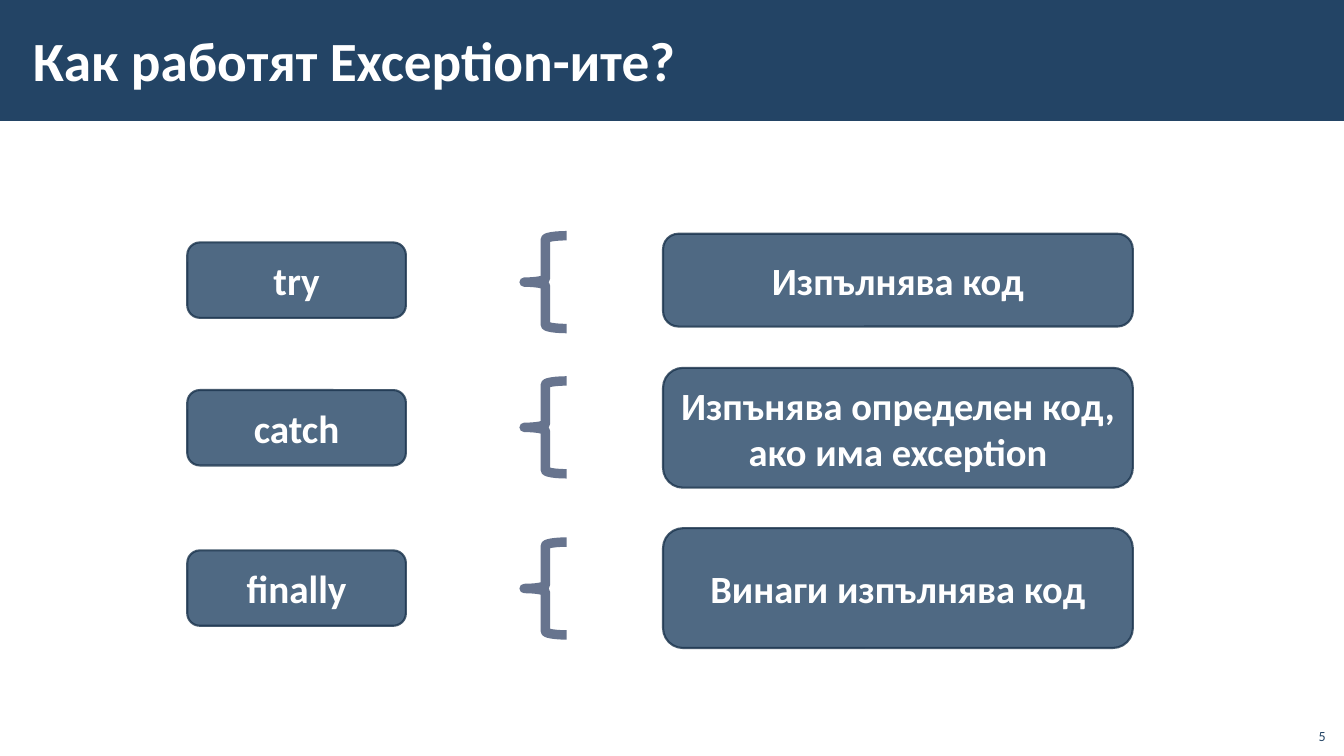
import pptx
import pptx.util
import pptx.dml.color
import pptx.enum.shapes
import pptx.enum.text
import pptx.oxml
import pptx.oxml.ns
from pptx.util import Cm

SHAPES = pptx.enum.shapes.MSO_SHAPE
ALIGN = pptx.enum.text.PP_ALIGN
ANCHOR = pptx.enum.text.MSO_ANCHOR
NAVY, EDGE, BRACE, WHITE = "234465", "1A334C", "67748E", "FFFFFF"


def paint(color_format, color, opacity=100):
    color_format.rgb = pptx.dml.color.RGBColor.from_string(color)
    if opacity < 100:
        namespace = pptx.oxml.ns.nsdecls("a")
        alpha = pptx.oxml.parse_xml(f'<a:alpha {namespace} val="{opacity * 1000}"/>')
        color_format._color._xClr.append(alpha)


def write(box, text, size, color, align, anchor, bold=True):
    frame = box.text_frame
    frame.word_wrap = True
    frame.vertical_anchor = anchor
    para = frame.paragraphs[0]
    para.alignment = align
    span = para.add_run()
    span.text = text
    font_format = {"name": "Calibri", "size": pptx.util.Pt(size), "bold": bold}
    for name, value in font_format.items():
        setattr(span.font, name, value)
    paint(span.font.color, color)


deck = pptx.Presentation()
deck.slide_width, deck.slide_height = Cm(33.87), Cm(19.05)
page = deck.slides.add_slide(deck.slide_layouts[6])

banner = page.shapes.add_shape(SHAPES.RECTANGLE, 0, 0, deck.slide_width, Cm(3.05))
banner.shadow.inherit = False
banner.fill.solid()
paint(banner.fill.fore_color, NAVY)
banner.line.fill.background()

title = page.shapes.add_textbox(Cm(0.53), Cm(0.28), Cm(27), Cm(2.46))
write(title, "Как работят Exception-ите?", 39.5, WHITE, ALIGN.LEFT, ANCHOR.MIDDLE)
margins = {"margin_left": 0.3, "margin_right": 0.3, "margin_top": 0.1, "margin_bottom": 0.1}
for name, value in margins.items():
    setattr(title.text_frame, name, Cm(value))

rows = [
    ("try", "Изпълнява код", 7.06, 7.11, 2.34),
    ("catch", "Изпънява определен код, ако има exception", 10.78, 10.77, 3.02),
    ("finally", "Винаги изпълнява код", 14.82, 14.83, 3.02),
]
for keyword, meaning, middle, brace_middle, meaning_height in rows:
    cards = [
        (keyword, 28, 4.72, 5.51, 1.9),
        (meaning, 27.5, 16.71, 11.84, meaning_height),
    ]
    for text, size, left, width, height in cards:
        card = page.shapes.add_shape(
            SHAPES.ROUNDED_RECTANGLE, Cm(left), Cm(middle - height / 2), Cm(width), Cm(height))
        card.shadow.inherit = False
        card.fill.solid()
        paint(card.fill.fore_color, NAVY, 80)
        card.line.width = pptx.util.Pt(1.5)
        card.line.fill.solid()
        paint(card.line.fill.fore_color, EDGE, 80)
        write(card, text, size, WHITE, ALIGN.CENTER, ANCHOR.MIDDLE)

    brace = page.shapes.add_shape(
        SHAPES.LEFT_BRACE, Cm(13.21), Cm(brace_middle - 1.17), Cm(1.07), Cm(2.34))
    brace.shadow.inherit = False
    brace.fill.background()
    brace.line.width = pptx.util.Pt(6.75)
    paint(brace.line.color, BRACE)

page_number = page.shapes.add_textbox(Cm(32.64), Cm(18.08), Cm(1.02), Cm(0.81))
write(page_number, "5", 10, NAVY, ALIGN.RIGHT, ANCHOR.BOTTOM, bold=False)

deck.save("out.pptx")
